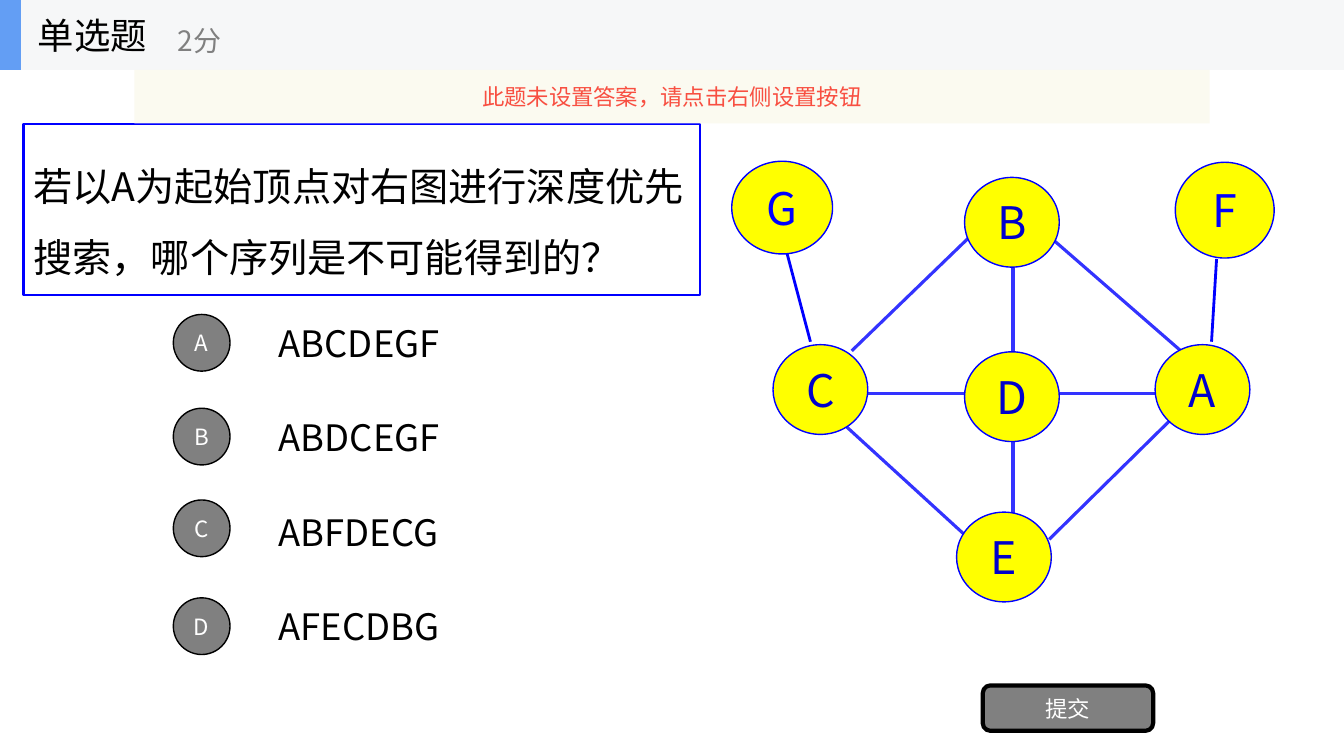
import dataclasses

import lxml.etree
import pptx
import pptx.dml.color
import pptx.enum.shapes
import pptx.enum.text
import pptx.oxml.ns
import pptx.util

Pt = pptx.util.Pt
Shape = pptx.enum.shapes.MSO_SHAPE
Align = pptx.enum.text.PP_ALIGN
qn = pptx.oxml.ns.qn


@dataclasses.dataclass(frozen=True)
class Theme:
    font: str = "Noto Sans CJK SC"
    black: str = "000000"
    white: str = "FFFFFF"
    gray: str = "808080"
    blue: str = "0000FF"
    edge: str = "3333FF"
    letter: str = "0000CC"
    node: str = "FFFF00"
    header: str = "F6F7F8"
    accent: str = "639EF4"
    notice: str = "FBFAEF"
    warning: str = "F84F41"
    question_size: int = 28
    title_size: int = 26
    score_size: int = 20
    small_size: int = 16
    node_size: int = 32


THEME = Theme()

OPTIONS = [
    ("A", "ABCDEGF", 224.6),
    ("B", "ABDCEGF", 291.6),
    ("C", "ABFDECG", 357.1),
    ("D", "AFECDBG", 427),
]
OPTION_TOP, OPTION_STEP = 219.6, 67.45

NODE_SIZE = (67.7, 64.1)
INNER_NODES = {
    "B": (689, 126.7),
    "D": (689, 251.3),
    "A": (825.1, 246.2),
    "C": (552.2, 246.2),
    "E": (683.3, 365.8),
}
OUTER_NODES = {
    "G": (522.7, 115.2, 72, 66.2),
    "F": (839.5, 115.9, 70.6, 68.4),
}
INNER_EDGES = [
    (616.3, 280.8, 830.2, 280.8),
    (601.2, 301.7, 694.1, 386.6),
    (749.5, 385.2, 839.5, 296.6),
    (752.4, 171.4, 846.7, 253.4),
    (723.6, 190.8, 723.6, 385.2),
    (608.4, 250.6, 692.6, 169.2),
]
OUTER_EDGES = [
    (865.4, 244.1, 869, 185),
    (578.9, 244.1, 562.3, 181.4),
]


def rgb(color):
    return pptx.dml.color.RGBColor.from_string(color)


def write(holder, text, size, color, align=Align.LEFT, spacing=None):
    frame = holder.text_frame
    frame.word_wrap = True
    frame.vertical_anchor = pptx.enum.text.MSO_ANCHOR.MIDDLE
    paragraph = frame.paragraphs[0]
    paragraph.text = text
    paragraph.alignment = align
    if spacing:
        paragraph.line_spacing = spacing
    paragraph.font.size = Pt(size)
    paragraph.font.color.rgb = rgb(color)
    paragraph.font.name = THEME.font
    defaults = paragraph._p.pPr.find(qn("a:defRPr"))
    lxml.etree.SubElement(defaults, qn("a:ea"), typeface=THEME.font)


def add_label(slide, box, text, size, color):
    label = slide.shapes.add_textbox(*map(Pt, box))
    write(label, text, size, color)


def add_block(slide, kind, box, fill, line=None, width=1):
    block = slide.shapes.add_shape(kind, *map(Pt, box))
    block.shadow.inherit = False
    block.fill.solid()
    block.fill.fore_color.rgb = rgb(fill)
    if line:
        block.line.color.rgb = rgb(line)
        block.line.width = Pt(width)
    else:
        block.line.fill.background()
    return block


def add_edge(slide, ends, color, width):
    edge = slide.shapes.add_connector(
        pptx.enum.shapes.MSO_CONNECTOR.STRAIGHT, *map(Pt, ends))
    edge.line.color.rgb = rgb(color)
    edge.line.width = Pt(width)
    lxml.etree.SubElement(edge._element.spPr, qn("a:effectLst"))


def add_node(slide, name, box, color):
    node = add_block(slide, Shape.OVAL, box, THEME.node, THEME.blue)
    write(node, name, THEME.node_size, color, Align.CENTER, 0.72)
    frame = node.text_frame
    frame.margin_left = frame.margin_right = frame.margin_bottom = 0
    frame.margin_top = Pt(8.64)


def add_graph(slide):
    for ends in INNER_EDGES:
        add_edge(slide, ends, THEME.edge, 2.25)
    for ends in OUTER_EDGES:
        add_edge(slide, ends, THEME.blue, 2)
    for name, corner in INNER_NODES.items():
        add_node(slide, name, corner + NODE_SIZE, THEME.letter)
    for name, box in OUTER_NODES.items():
        add_node(slide, name, box, THEME.blue)


def add_options(slide):
    for row, (letter, sequence, badge_top) in enumerate(OPTIONS):
        top = OPTION_TOP + row * OPTION_STEP
        add_label(slide, (192, top, 672, 50.4), sequence,
                  THEME.title_size, THEME.black)
        badge = add_block(slide, Shape.OVAL, (123.8, badge_top, 40.5, 40.5),
                          THEME.gray, THEME.black)
        write(badge, letter, THEME.small_size, THEME.white, Align.CENTER)


def add_question(slide):
    question = add_block(slide, Shape.RECTANGLE, (16.8, 88.6, 483.1, 122.4),
                         THEME.white, THEME.blue, 1.5)
    write(question, "若以A为起始顶点对右图进行深度优先搜索，哪个序列是不可能得到的？",
          THEME.question_size, THEME.black, spacing=1.5)


def add_submit(slide):
    submit = add_block(slide, Shape.ROUNDED_RECTANGLE, (702, 489.6, 121.7, 32.4),
                       THEME.gray, THEME.black, 3)
    write(submit, "提交", THEME.small_size, THEME.white, Align.CENTER)


def add_header(slide):
    add_block(slide, Shape.RECTANGLE, (0, 0, 960, 50), THEME.header)
    add_block(slide, Shape.RECTANGLE, (0, 0, 15, 50), THEME.accent)
    add_label(slide, (20, 0, 150, 50), "单选题", THEME.title_size, THEME.black)
    add_label(slide, (120, 8.6, 180, 40.3), "2分", THEME.score_size, THEME.gray)


def add_notice(slide):
    notice = add_block(slide, Shape.RECTANGLE, (96, 50, 768, 38.2), THEME.notice)
    tint = notice._element.spPr.find(qn("a:solidFill"))[0]
    lxml.etree.SubElement(tint, qn("a:alpha"), val="90000")
    write(notice, "此题未设置答案，请点击右侧设置按钮",
          THEME.small_size, THEME.warning, Align.CENTER)


def main():
    deck = pptx.Presentation()
    deck.slide_width = Pt(960)
    deck.slide_height = Pt(540)
    slide = deck.slides.add_slide(deck.slide_layouts[6])
    add_question(slide)
    add_options(slide)
    add_submit(slide)
    add_graph(slide)
    add_header(slide)
    add_notice(slide)
    deck.save("out.pptx")


if __name__ == "__main__":
    main()
